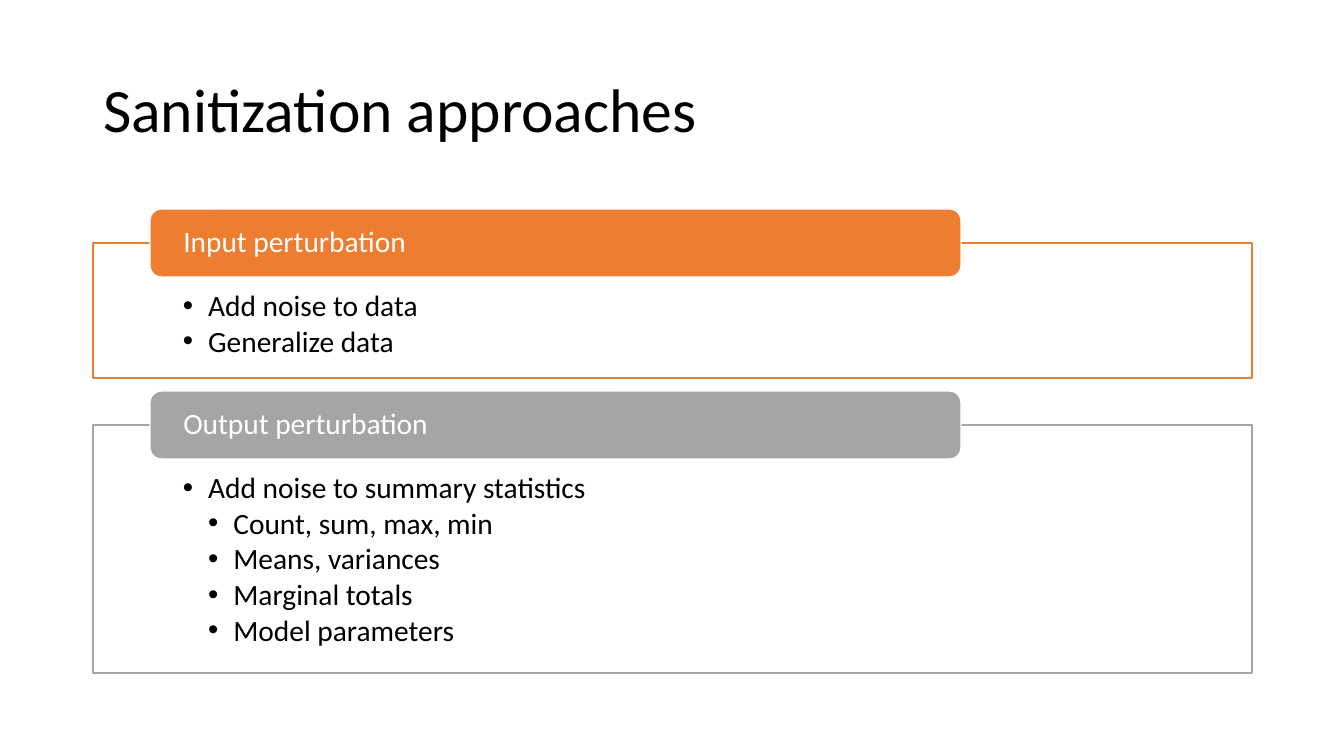
from dataclasses import dataclass

from lxml import etree
from pptx import Presentation
from pptx import util as u
from pptx.dml.color import RGBColor
from pptx.enum import shapes, text
from pptx.oxml.ns import qn

TITLE_ONLY = 5


def px(count):
    return u.Emu(round(count * 914400 / 100.8))


@dataclass(frozen=True)
class Theme:
    font: str = "Calibri"
    ink: str = "000000"
    paper: str = "FFFFFF"
    orange: str = "ED7D31"
    gray: str = "A5A5A5"
    title_size: int = 44
    body_size: int = 21
    outline: int = 1
    line_spacing: float = 0.9
    bullet_gap: float = 2.8


class SlideBuilder:
    def __init__(self, slide, theme):
        self.slide = slide
        self.theme = theme

    def add_words(self, paragraph, words, size, color):
        paragraph.alignment = text.PP_ALIGN.LEFT
        paragraph.line_spacing = self.theme.line_spacing
        run = paragraph.add_run()
        run.text = words
        run.font.name = self.theme.font
        run.font.size = u.Pt(size)
        run.font.color.rgb = RGBColor.from_string(color)

    def title(self, words, left, top, width, height):
        heading = self.slide.shapes.title
        heading.left, heading.top = px(left), px(top)
        heading.width, heading.height = px(width), px(height)
        frame = heading.text_frame
        frame.auto_size = text.MSO_AUTO_SIZE.NONE
        frame.vertical_anchor = text.MSO_ANCHOR.MIDDLE
        self.add_words(frame.paragraphs[0], words, self.theme.title_size, self.theme.ink)

    def box(self, kind, bounds, fill, line, insets, anchor):
        """Add a filled, outlined shape and return it ready for text."""
        shape = self.slide.shapes.add_shape(kind, *map(px, bounds))
        shape.shadow.inherit = False
        shape.fill.solid()
        shape.fill.fore_color.rgb = RGBColor.from_string(fill)
        shape.line.color.rgb = RGBColor.from_string(line)
        shape.line.width = u.Pt(self.theme.outline)
        frame = shape.text_frame
        frame.word_wrap = True
        frame.vertical_anchor = anchor
        (frame.margin_left, frame.margin_top,
         frame.margin_right, frame.margin_bottom) = map(px, insets)
        return shape

    def bullet(self, paragraph, level, words):
        paragraph.level = level
        paragraph.space_after = u.Pt(self.theme.bullet_gap)
        self.add_words(paragraph, words, self.theme.body_size, self.theme.ink)
        properties = paragraph._p.get_or_add_pPr()
        step = u.Inches(0.25)
        properties.set("marL", str(level * step))
        properties.set("indent", str(-step))
        etree.SubElement(properties, qn("a:buFont"), typeface="Arial")
        etree.SubElement(properties, qn("a:buChar"), char="•")

    def bullet_panel(self, bounds, color, items):
        panel = self.box(shapes.MSO_SHAPE.RECTANGLE, bounds, self.theme.paper, color,
                         (90, 48, 90, 16), text.MSO_ANCHOR.TOP)
        fill_color = panel._element.spPr.find(qn("a:solidFill"))[0]
        etree.SubElement(fill_color, qn("a:alpha"), val="90000")
        frame = panel.text_frame
        for index, (level, words) in enumerate(items):
            paragraph = frame.add_paragraph() if index else frame.paragraphs[0]
            self.bullet(paragraph, level, words)

    def label(self, words, bounds, color):
        tab = self.box(shapes.MSO_SHAPE.ROUNDED_RECTANGLE, bounds, color, self.theme.paper,
                       (30, 0, 30, 0), text.MSO_ANCHOR.MIDDLE)
        self.add_words(tab.text_frame.paragraphs[0], words,
                       self.theme.body_size, self.theme.paper)


def main():
    theme = Theme()
    deck = Presentation()
    deck.slide_width, deck.slide_height = px(1344), px(756)
    builder = SlideBuilder(deck.slides.add_slide(deck.slide_layouts[TITLE_ONLY]), theme)

    left, width = 93, 1159
    builder.title("Sanitization approaches", left, 40, width, 146)

    approaches = [
        ("Input perturbation", theme.orange, 135, [
            (1, "Add noise to data"),
            (1, "Generalize data"),
        ]),
        ("Output perturbation", theme.gray, 248, [
            (1, "Add noise to summary statistics"),
            (2, "Count, sum, max, min"),
            (2, "Means, variances"),
            (2, "Marginal totals"),
            (2, "Model parameters"),
        ]),
    ]
    label_height, panel_gap = 68, 47
    top = 243
    for name, color, height, items in approaches:
        builder.bullet_panel((left, top, width, height), color, items)
        builder.label(name, (150, top - label_height // 2, 811, label_height), color)
        top += height + panel_gap

    deck.save("out.pptx")


if __name__ == "__main__":
    main()
